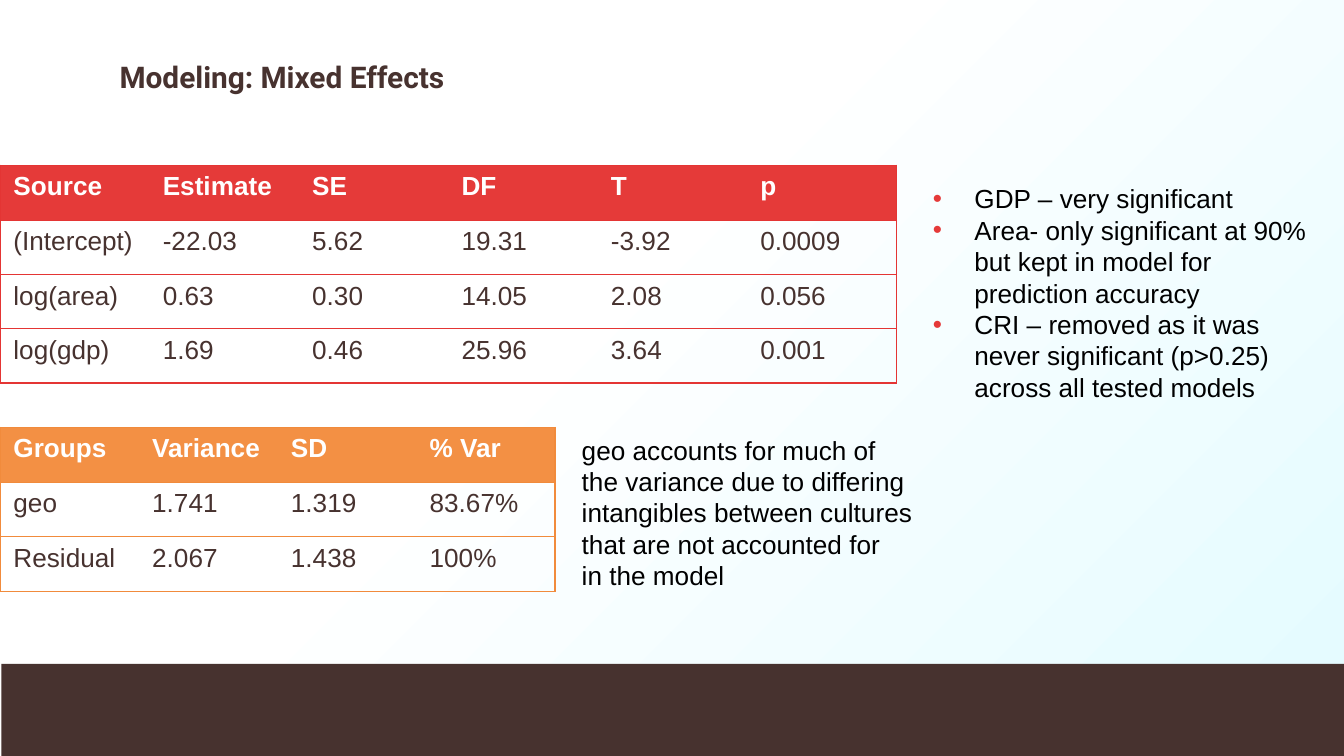
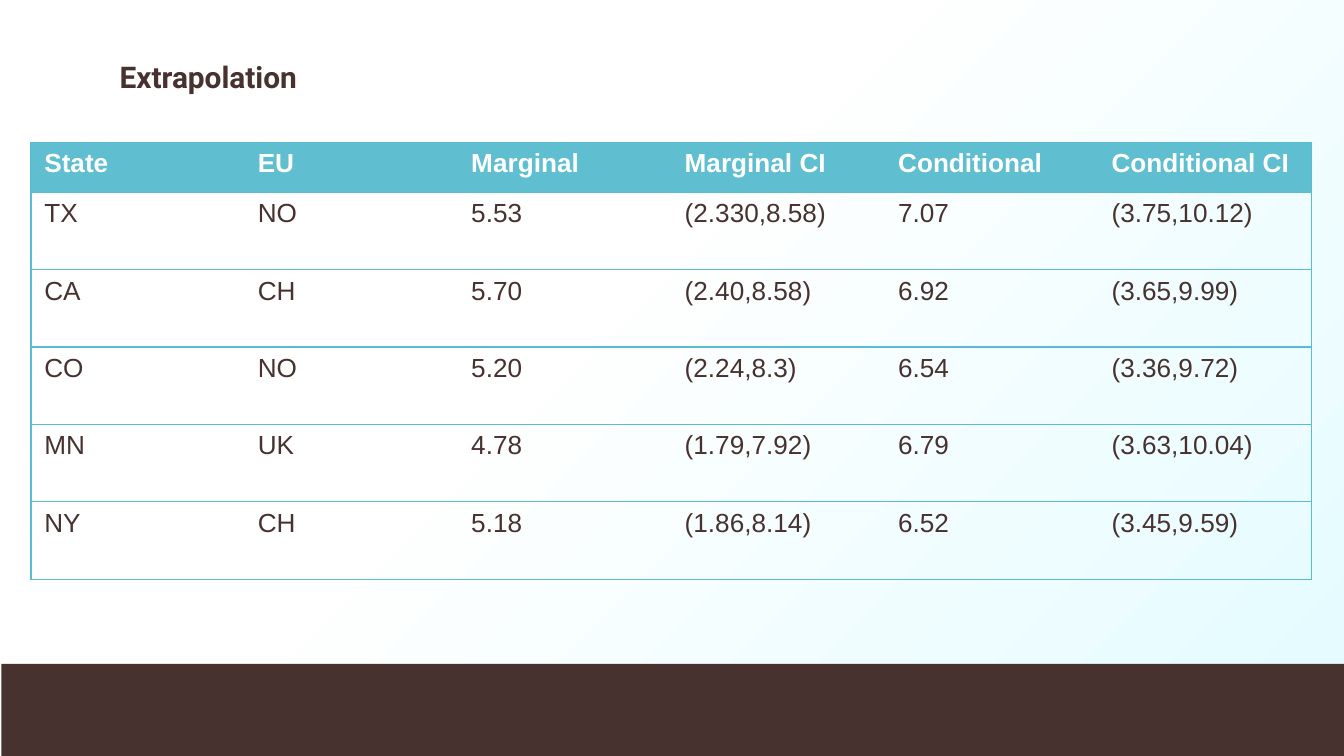
"""Build two slides of model results: mixed effects and extrapolation."""
from copy import deepcopy
from dataclasses import dataclass

from lxml import etree
from pptx import Presentation
from pptx import util as u
from pptx.dml.color import RGBColor
from pptx.enum import shapes, text
from pptx.oxml.ns import qn


@dataclass(frozen=True)
class Theme:
    """Colours, fonts and type sizes; table accents are (fill, line) pairs."""
    dark: str = "47322F"
    white: str = "FFFFFF"
    black: str = "000000"
    tint: str = "E3FBFF"
    red: tuple = ("E53A39", "E43534")
    orange: tuple = ("F39044", "F18B3C")
    teal: tuple = ("5FBFD1", "59BDCF")
    title_font: str = "Roboto"
    body_font: str = "Arial"
    title_size: int = 16
    body_size: int = 14
    line: float = 0.75


T = Theme()
WIDTH = 10
HEIGHT = WIDTH * 9 / 16
NO_STYLE = "{2D5ABB26-0587-4C30-8999-92F81FD0307C}"

EFFECTS = [
    ["Source", "Estimate", "SE", "DF", "T", "p"],
    ["(Intercept)", "-22.03", "5.62", "19.31", "-3.92", "0.0009"],
    ["log(area)", "0.63", "0.30", "14.05", "2.08", "0.056"],
    ["log(gdp)", "1.69", "0.46", "25.96", "3.64", "0.001"],
]
GROUPS = [
    ["Groups", "Variance", "SD", "% Var"],
    ["geo", "1.741", "1.319", "83.67%"],
    ["Residual", "2.067", "1.438", "100%"],
]
STATES = [
    ["State", "EU", "Marginal", "Marginal CI", "Conditional", "Conditional CI"],
    ["TX", "NO", "5.53", "(2.330,8.58)", "7.07", "(3.75,10.12)"],
    ["CA", "CH", "5.70", "(2.40,8.58)", "6.92", "(3.65,9.99)"],
    ["CO", "NO", "5.20", "(2.24,8.3)", "6.54", "(3.36,9.72)"],
    ["MN", "UK", "4.78", "(1.79,7.92)", "6.79", "(3.63,10.04)"],
    ["NY", "CH", "5.18", "(1.86,8.14)", "6.52", "(3.45,9.59)"],
]
GEO_NOTE = [
    "geo accounts for much of",
    "the variance due to differing",
    "intangibles between cultures",
    "that are not accounted for",
    "in the model",
]
FINDINGS = [
    "GDP – very significant",
    "Area- only significant at 90% but kept in model for prediction accuracy",
    "CRI – removed as it was never significant (p>0.25) across all tested models",
]


def rgb(color):
    """Turn RRGGBB into a colour."""
    return RGBColor.from_string(color)


def inches(box):
    """Turn a box of numbers into lengths."""
    return [u.Inches(v) for v in box]


def place(sp, box):
    """Move and size a shape."""
    sp.left, sp.top, sp.width, sp.height = inches(box)


def style(tf, color, bold=False, font=T.body_font, size=T.body_size):
    """Format every run of a text frame."""
    for p in tf.paragraphs:
        for r in p.runs:
            r.font.name, r.font.size, r.font.bold = font, u.Pt(size), bold
            r.font.color.rgb = rgb(color)


def set_background(master):
    """Give the master a diagonal gradient that stays white up to 41%."""
    fill = master.background.fill
    fill.gradient()
    fill.gradient_angle = 315
    stops = master.element.find(".//" + qn("a:gsLst"))
    stops.insert(1, deepcopy(stops[0]))
    colors = (T.white, T.white, T.tint)
    for stop, pos, color in zip(fill.gradient_stops, (0, 0.41, 1), colors):
        stop.position = pos
        stop.color.rgb = rgb(color)


def add_base(prs, layout, title):
    """Add a slide with the footer band and the title."""
    s = prs.slides.add_slide(prs.slide_layouts[layout])
    box = inches((0.01, 4.94, WIDTH, HEIGHT - 4.94))
    band = s.shapes.add_shape(shapes.MSO_SHAPE.RECTANGLE, *box)
    band.shadow.inherit = False
    band.fill.solid()
    band.fill.fore_color.rgb = rgb(T.dark)
    band.line.fill.background()

    sp = s.shapes.title
    place(sp, (0.79, 0.37, 8.43, 0.4))
    tf = sp.text_frame
    tf.text = title
    tf.auto_size = text.MSO_AUTO_SIZE.NONE
    tf.vertical_anchor = text.MSO_ANCHOR.MIDDLE
    tf.margin_left = tf.margin_right = tf.margin_top = tf.margin_bottom = u.Inches(0.1)
    tf.paragraphs[0].alignment = text.PP_ALIGN.LEFT
    style(tf, T.dark, True, T.title_font, T.title_size)
    return s


def set_borders(cell, sides, color):
    """Draw the named sides of a cell (L, R, T, B)."""
    tc_pr = cell._tc.get_or_add_tcPr()
    for i, side in enumerate(sides):
        ln = etree.Element(qn("a:ln" + side), w=str(u.Pt(T.line)))
        fill = etree.SubElement(ln, qn("a:solidFill"))
        etree.SubElement(fill, qn("a:srgbClr"), val=color)
        tc_pr.insert(i, ln)


def add_data_table(s, box, rows, accent, header_height):
    """Add a table with a filled header, row rules and an outer frame."""
    n_rows, n_cols = len(rows), len(rows[0])
    frame = s.shapes.add_table(n_rows, n_cols, *inches(box))
    frame.element.find(".//" + qn("a:tableStyleId")).text = NO_STYLE
    table = frame.table
    body_height = (box[3] - header_height) / (n_rows - 1)
    for col in table.columns:
        col.width = u.Inches(box[2] / n_cols)
    for i, values in enumerate(rows):
        header = i == 0
        table.rows[i].height = u.Inches(header_height if header else body_height)
        for j, value in enumerate(values):
            cell = table.cell(i, j)
            cell.text_frame.text = value
            style(cell.text_frame, T.white if header else T.dark, header)
            if header:
                cell.fill.solid()
                cell.fill.fore_color.rgb = rgb(accent[0])
            else:
                cell.fill.background()
            sides = ("L" if j == 0 else "") + ("R" if j == n_cols - 1 else "") + "TB"
            set_borders(cell, sides, accent[1])


def add_note(s, box, lines):
    """Add a plain text box with one paragraph per line."""
    tf = s.shapes.add_textbox(*inches(box)).text_frame
    tf.text = "\n".join(lines)
    tf.word_wrap = False
    tf.auto_size = text.MSO_AUTO_SIZE.SHAPE_TO_FIT_TEXT
    style(tf, T.black)


def fill_bullets(sp, box, items):
    """Fill the body placeholder with a list with coloured bullets."""
    place(sp, box)
    tf = sp.text_frame
    tf.text = "\n".join(items)
    tf.word_wrap = True
    tf.auto_size = text.MSO_AUTO_SIZE.SHAPE_TO_FIT_TEXT
    indent = u.Inches(0.31)
    for p in tf.paragraphs:
        p.space_before = u.Pt(0)
        p_pr = p._p.get_or_add_pPr()
        p_pr.set("marL", str(indent))
        p_pr.set("indent", str(-indent))
        color = etree.SubElement(p_pr, qn("a:buClr"))
        etree.SubElement(color, qn("a:srgbClr"), val=T.red[0])
        etree.SubElement(p_pr, qn("a:buFont"), typeface=T.body_font)
        etree.SubElement(p_pr, qn("a:buChar"), char="•")
    style(tf, T.black)


def mixed_effects_slide(prs):
    """Build the slide with both model tables and their comments."""
    s = add_base(prs, 1, "Modeling: Mixed Effects")
    add_data_table(s, (0, 1.23, 6.67, 1.62), EFFECTS, T.red, 0.41)
    add_data_table(s, (0, 3.18, 4.13, 1.22), GROUPS, T.orange, 0.41)
    add_note(s, (4.23, 3.18, 2.68, 1.28), GEO_NOTE)
    fill_bullets(s.placeholders[1], (6.84, 1.31, 3.16, 1.75), FINDINGS)


def extrapolation_slide(prs):
    """Build the slide with the predictions by state."""
    s = add_base(prs, 5, "Extrapolation")
    add_data_table(s, (0.23, 1.06, 9.53, 3.25), STATES, T.teal, 0.37)


def main():
    """Build and save the presentation."""
    prs = Presentation()
    prs.slide_width, prs.slide_height = inches((WIDTH, HEIGHT))
    set_background(prs.slide_master)
    mixed_effects_slide(prs)
    extrapolation_slide(prs)
    prs.save("out.pptx")


if __name__ == "__main__":
    main()
